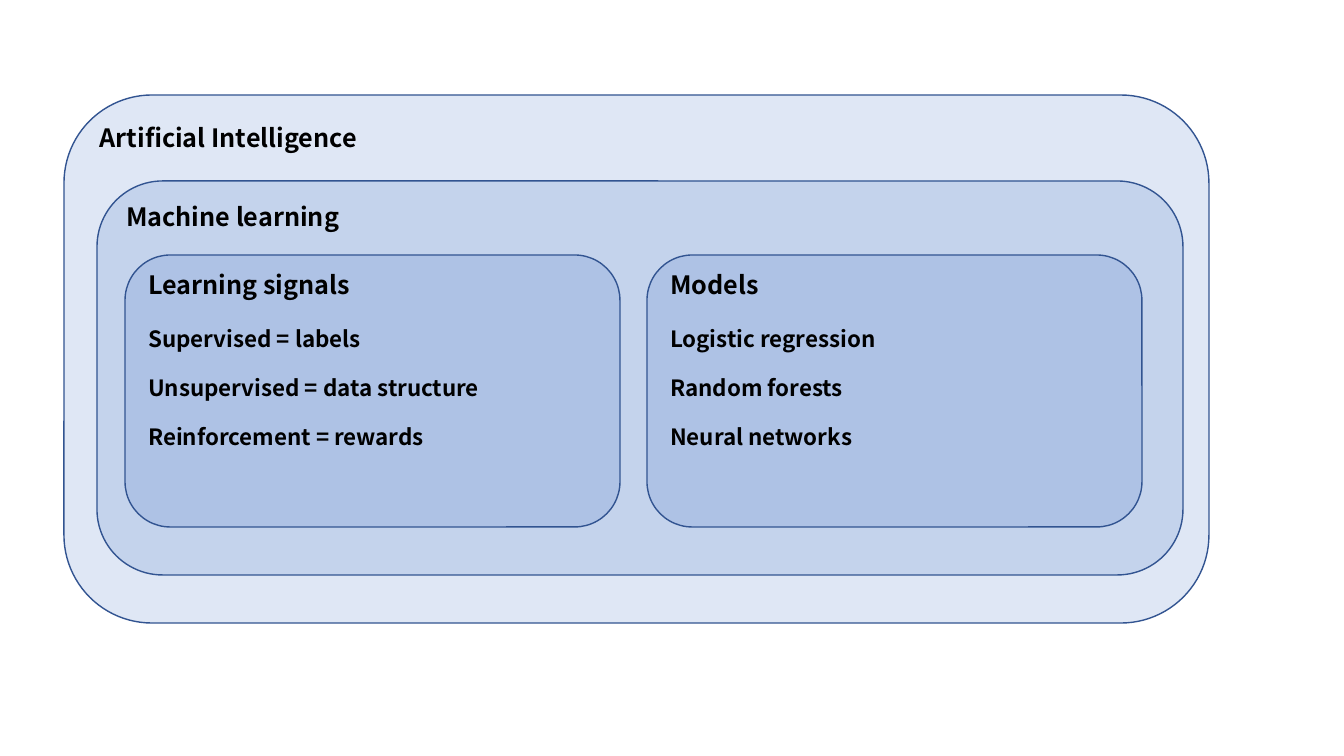
from pptx import Presentation
from pptx.dml.color import RGBColor
from pptx.enum.shapes import MSO_SHAPE
from pptx.enum.text import MSO_ANCHOR, PP_ALIGN
from pptx.oxml.ns import qn
from pptx.util import Emu, Pt
from lxml import etree

SCALE = 914400 / 100.8
FONT = "Noto Sans CJK JP"
FILL, EDGE, INK = "4472C4", "325491", "000000"
ALPHA = 17

CARD_TOP, CARD_W, CARD_H = 255, 495, 272
CARD_LEFT, CARD_STEP = 125, 522
CARDS = [
    ("Learning signals", "Supervised = labels",
     "Unsupervised = data structure", "Reinforcement = rewards"),
    ("Models", "Logistic regression", "Random forests", "Neural networks"),
]


def px(n):
    return Emu(round(n * SCALE))


def color(code):
    return RGBColor.from_string(code)


def tint(shape):
    """Fill the shape with the translucent blue that deepens as panels nest."""
    shape.fill.solid()
    shape.fill.fore_color.rgb = color(FILL)
    tone = shape.fill._xPr.find(qn("a:solidFill"))[0]
    etree.SubElement(tone, qn("a:alpha")).set("val", str(ALPHA * 1000))


def style(para, size, gap):
    para.alignment = PP_ALIGN.LEFT
    para.line_spacing = 0.9
    para.space_before = Pt(gap)
    for run in para.runs:
        run.font.name = FONT
        run.font.size = Pt(size)
        run.font.bold = True
        run.font.color.rgb = color(INK)


def panel(slide, box, title, items=()):
    """Add a rounded panel with a heading and optional lines below it."""
    shape = slide.shapes.add_shape(
        MSO_SHAPE.ROUNDED_RECTANGLE, *[px(n) for n in box])
    shape.shadow.inherit = False
    tint(shape)
    shape.line.color.rgb = color(EDGE)
    shape.line.width = Pt(1)
    frame = shape.text_frame
    frame.word_wrap = True
    frame.vertical_anchor = MSO_ANCHOR.TOP
    frame.text = title
    style(frame.paragraphs[0], 18, 0)
    for row, item in enumerate(items):
        para = frame.add_paragraph()
        para.text = item
        style(para, 16, 17.5 if row else 20)


def main():
    deck = Presentation()
    deck.slide_width, deck.slide_height = px(1344), px(756)
    slide = deck.slides.add_slide(deck.slide_layouts[6])
    panel(slide, (64, 95, 1145, 528), "Artificial Intelligence")
    panel(slide, (97, 181, 1086, 394), "Machine learning")
    for col, (title, *items) in enumerate(CARDS):
        left = CARD_LEFT + col * CARD_STEP
        panel(slide, (left, CARD_TOP, CARD_W, CARD_H), title, items)
    deck.save("out.pptx")


if __name__ == "__main__":
    main()
